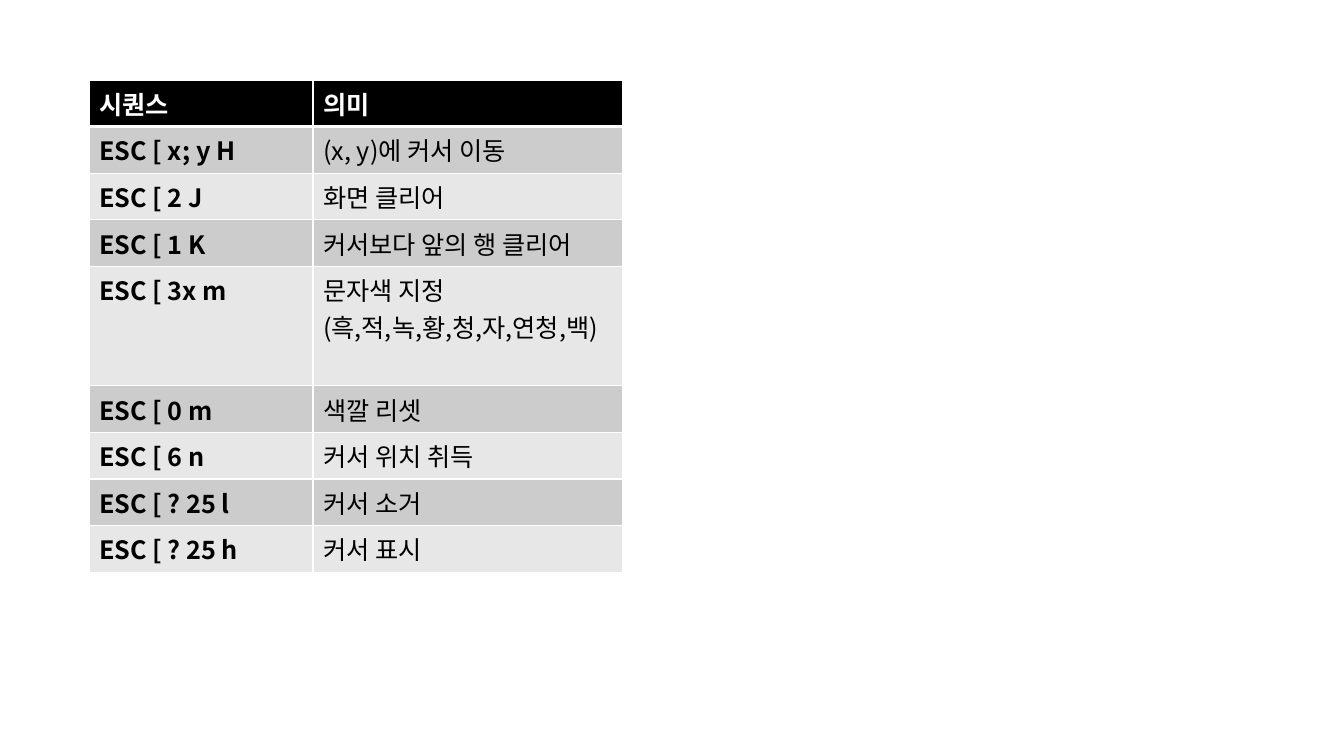
from dataclasses import dataclass

from lxml import etree
from pptx import Presentation
from pptx import util as u
from pptx.dml import color
from pptx.oxml import ns

EMU_PER_PIXEL = 914400 / 100.8


@dataclass(frozen=True)
class Theme:
    font: str = "Noto Sans CJK KR"
    size: int = 18
    header_fill: str = "000000"
    header_text: str = "FFFFFF"
    body_text: str = "000000"
    bands: tuple = ("CCCCCC", "E7E7E7")
    border: str = "FFFFFF"
    thin: int = 1
    thick: int = 3


THEME = Theme()

HEADER = ("시퀀스", "의미")
SEQUENCES = [
    ("ESC [ x; y H", "(x, y)에 커서 이동"),
    ("ESC [ 2 J", "화면 클리어"),
    ("ESC [ 1 K", "커서보다 앞의 행 클리어"),
    ("ESC [ 3x m", "문자색 지정\n(흑,적,녹,황,청,자,연청,백)"),
    ("ESC [ 0 m", "색깔 리셋"),
    ("ESC [ 6 n", "커서 위치 취득"),
    ("ESC [ ? 25 l", "커서 소거"),
    ("ESC [ ? 25 h", "커서 표시"),
]


def px(pixels):
    return u.Emu(round(pixels * EMU_PER_PIXEL))


def set_borders(cell, widths):
    """Draw the left, right, top and bottom borders, widths in points."""
    properties = cell._tc.get_or_add_tcPr()
    for index, (side, width) in enumerate(zip("LRTB", widths)):
        line = etree.Element(ns.qn(f"a:ln{side}"), w=str(u.Pt(width)))
        fill = etree.SubElement(line, ns.qn("a:solidFill"))
        etree.SubElement(fill, ns.qn("a:srgbClr"), val=THEME.border)
        properties.insert(index, line)


def format_paragraph(paragraph, text_color, bold):
    font = paragraph.font
    font.name = THEME.font
    font.size = u.Pt(THEME.size)
    font.bold = bold
    font.color.rgb = color.RGBColor.from_string(text_color)
    # Korean glyphs take the East Asian typeface
    defaults = paragraph._p.get_or_add_pPr().find(ns.qn("a:defRPr"))
    latin = defaults.find(ns.qn("a:latin"))
    latin.addnext(etree.Element(ns.qn("a:ea"), typeface=THEME.font))


def fill_cell(cell, content, fill, text_color, bold, widths):
    cell.text = content
    cell.fill.solid()
    cell.fill.fore_color.rgb = color.RGBColor.from_string(fill)
    set_borders(cell, widths)
    for paragraph in cell.text_frame.paragraphs:
        format_paragraph(paragraph, text_color, bold)


def add_sequence_table(slide, left, top, column_widths, row_height):
    rows = [HEADER, *SEQUENCES]
    frame = slide.shapes.add_table(
        len(rows), len(HEADER), px(left), px(top),
        px(sum(column_widths)), px(row_height * len(rows)))
    table = frame.table
    table.first_row = table.horz_banding = False
    for column, width in zip(table.columns, column_widths):
        column.width = px(width)

    for row_index, row in enumerate(rows):
        is_header = row_index == 0
        fill = THEME.header_fill if is_header else THEME.bands[(row_index - 1) % 2]
        text_color = THEME.header_text if is_header else THEME.body_text
        top_width = THEME.thick if row_index == 1 else THEME.thin
        bottom_width = THEME.thick if is_header else THEME.thin
        widths = (THEME.thin, THEME.thin, top_width, bottom_width)
        for column_index, content in enumerate(row):
            bold = is_header or column_index == 0
            fill_cell(table.cell(row_index, column_index), content,
                      fill, text_color, bold, widths)


def main():
    presentation = Presentation()
    presentation.slide_width = px(1344)
    presentation.slide_height = px(756)
    blank_layout = presentation.slide_layouts[6]
    slide = presentation.slides.add_slide(blank_layout)

    # Table of escape sequences and their meanings
    add_sequence_table(slide, left=89, top=80, column_widths=(224, 310), row_height=43)

    presentation.save("out.pptx")


main()
